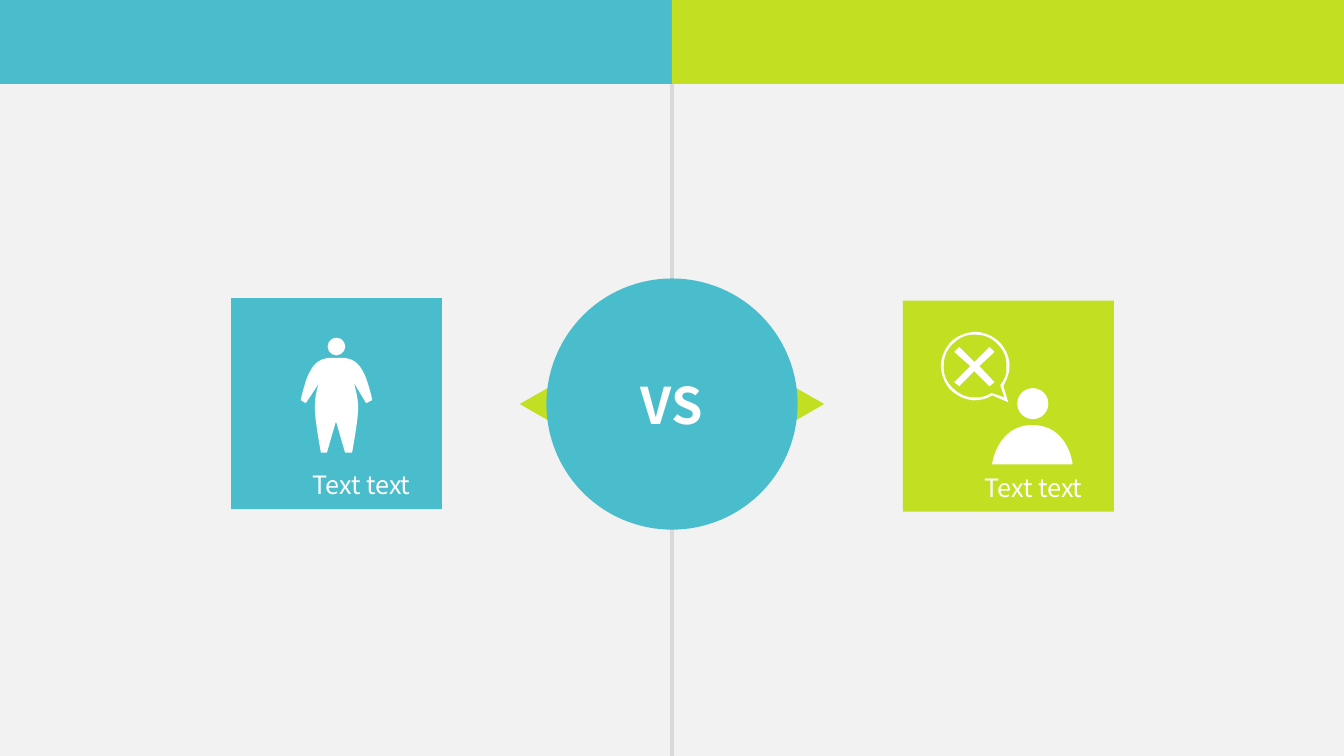
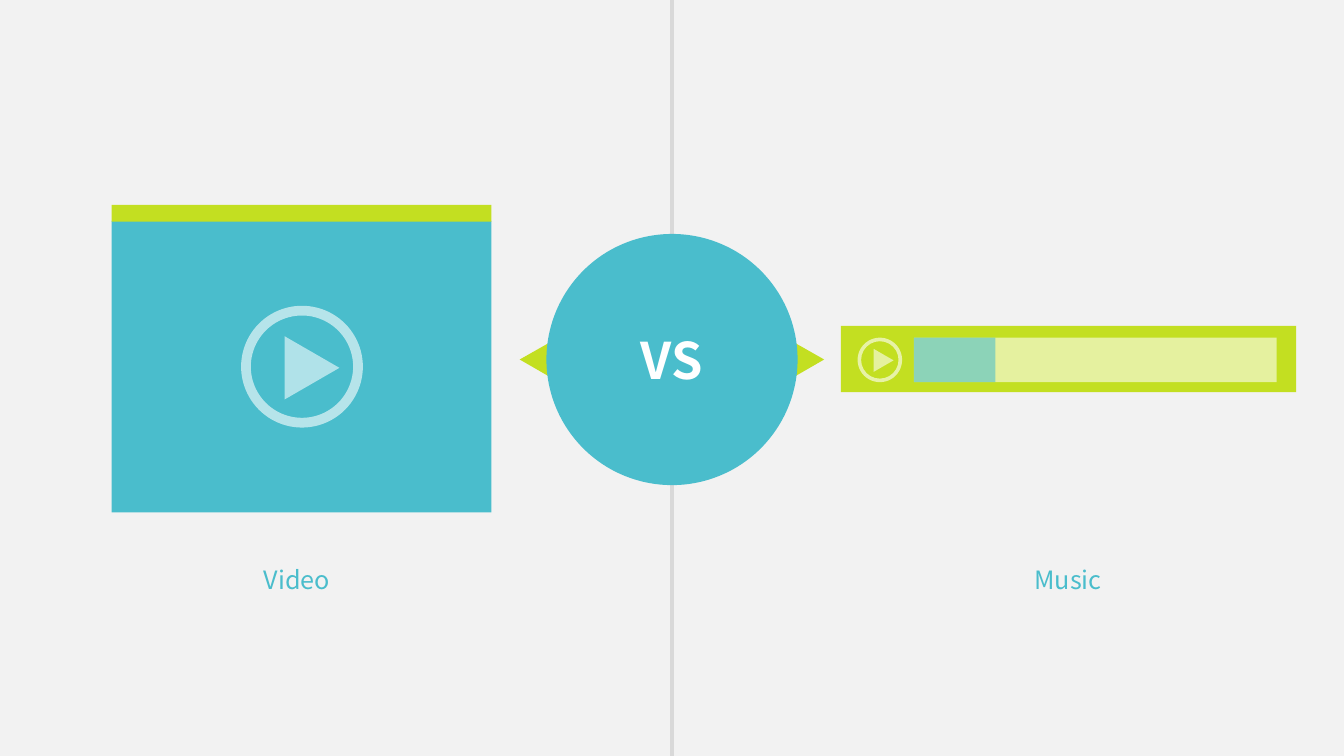
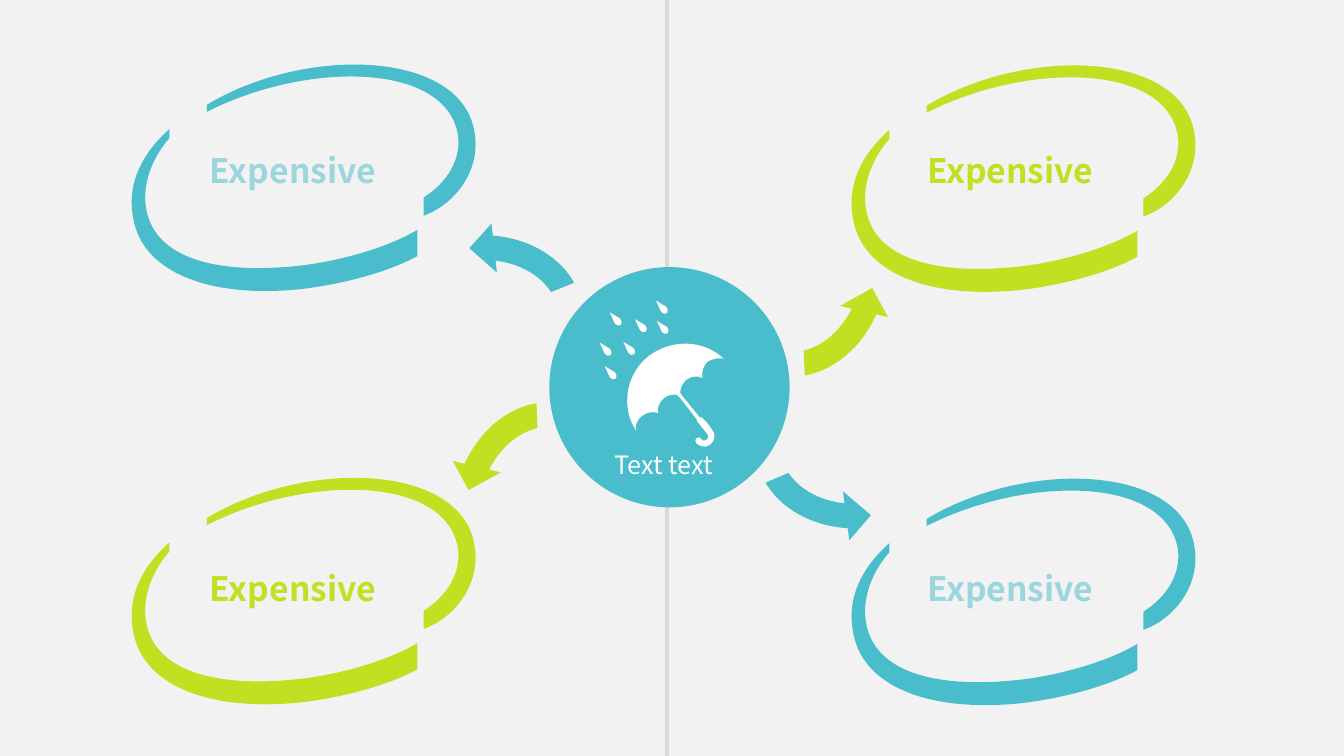
from dataclasses import dataclass
from typing import NamedTuple, Optional

from lxml.etree import SubElement
from pptx import Presentation
from pptx.dml.color import RGBColor
from pptx.enum.shapes import MSO_CONNECTOR, MSO_SHAPE
from pptx.enum.text import MSO_ANCHOR, MSO_AUTO_SIZE, PP_ALIGN
from pptx.oxml.ns import qn
from pptx.shapes.autoshape import Shape
from pptx.slide import Slide
from pptx.util import Inches, Pt

# The slide is a grid of 16 columns by 9 rows of square cells.
COLUMNS, ROWS = 16, 9
CELL = Inches(5 / 6)
MIDDLE = COLUMNS / 2

TEAL = RGBColor(0x4A, 0xBD, 0xCC)
PALE_TEAL = RGBColor(0x9B, 0xD6, 0xDE)
LIME = RGBColor(0xC3, 0xDF, 0x21)
WHITE = RGBColor(0xFF, 0xFF, 0xFF)
PAPER = RGBColor(0xF2, 0xF2, 0xF2)
RULE = RGBColor(0xD9, 0xD9, 0xD9)
FONT = "Noto Sans CJK SC"

CIRCULAR_ARROW = (0.125, 11.423, 204.577, 171.41, 0.125)

# An outline is a list of contours in inches: a start point, then
# lines (x, y) and cubic curves (x1, y1, x2, y2, x, y).
Contour = list[tuple[float, ...]]

BODY: list[Contour] = [[
    (0.71, 0.42), (0.71, 0.41, 0.67, 0.25, 0.64, 0.18), (0.6, 0.1, 0.56, 0, 0.4, 0),
    (0.31, 0), (0.15, 0, 0.11, 0.1, 0.07, 0.18), (0.04, 0.25, 0, 0.41, 0, 0.42),
    (0.05, 0.45), (0.05, 0.45, 0.14, 0.32, 0.18, 0.25),
    (0.16, 0.31, 0.14, 0.39, 0.14, 0.49), (0.14, 0.63, 0.2, 0.93, 0.2, 0.94),
    (0.26, 0.94), (0.35, 0.63), (0.44, 0.94), (0.51, 0.94),
    (0.51, 0.93, 0.57, 0.63, 0.57, 0.49), (0.57, 0.39, 0.54, 0.31, 0.53, 0.25),
    (0.57, 0.32, 0.65, 0.45, 0.65, 0.45),
]]
BUBBLE: list[Contour] = [
    [
        (0.67, 0.7), (0.62, 0.54), (0.64, 0.5, 0.66, 0.46, 0.67, 0.42),
        (0.68, 0.4, 0.68, 0.38, 0.68, 0.36), (0.69, 0.27, 0.65, 0.18, 0.59, 0.11),
        (0.53, 0.05, 0.45, 0.01, 0.36, 0), (0.27, 0, 0.18, 0.03, 0.11, 0.09),
        (0.05, 0.15, 0.01, 0.23, 0, 0.32), (0, 0.41, 0.03, 0.5, 0.09, 0.57),
        (0.15, 0.63, 0.23, 0.67, 0.32, 0.68), (0.39, 0.68, 0.45, 0.67, 0.51, 0.63),
    ],
    [
        (0.5, 0.61), (0.45, 0.64, 0.39, 0.66, 0.32, 0.65),
        (0.24, 0.65, 0.17, 0.61, 0.11, 0.55), (0.05, 0.49, 0.02, 0.41, 0.03, 0.32),
        (0.03, 0.24, 0.07, 0.16, 0.13, 0.11), (0.19, 0.05, 0.27, 0.02, 0.36, 0.03),
        (0.44, 0.03, 0.52, 0.07, 0.57, 0.13), (0.63, 0.19, 0.66, 0.27, 0.65, 0.36),
        (0.65, 0.38, 0.65, 0.39, 0.65, 0.41), (0.64, 0.45, 0.62, 0.49, 0.59, 0.53),
        (0.63, 0.65), (0.51, 0.61),
    ],
]
CROSS: list[Contour] = [[
    (0.35, 0), (0.2, 0.15), (0.05, 0), (0, 0.05), (0.16, 0.19), (0, 0.35),
    (0.05, 0.39), (0.2, 0.24), (0.35, 0.39), (0.4, 0.35), (0.25, 0.19), (0.4, 0.05),
]]
SHOULDERS: list[Contour] = [[
    (0.4, 0), (0.05, 0, 0, 0.39, 0, 0.39), (0.8, 0.39), (0.8, 0.39, 0.76, 0, 0.4, 0),
]]
RING: list[Contour] = [
    [
        (1.69, 2.19), (1.01, 2.26, 0.31, 2.16, 0.21, 1.63),
        (0.16, 1.37, 0.28, 1.1, 0.44, 0.92), (0.44, 0.83),
        (0.16, 1.08, 0, 1.39, 0.09, 1.76), (0.2, 2.24, 0.81, 2.51, 1.73, 2.42),
        (2.09, 2.38, 2.57, 2.27, 2.9, 2.09), (2.9, 1.83),
        (2.6, 2.01, 2.1, 2.15, 1.69, 2.19),
    ],
    [
        (3.46, 0.83), (3.3, 0.05, 1.79, 0, 0.81, 0.59), (0.81, 0.66),
        (1.79, 0.16, 3.17, 0.16, 3.3, 0.88), (3.34, 1.12, 3.2, 1.36, 2.96, 1.51),
        (2.96, 1.69), (3.25, 1.59, 3.55, 1.25, 3.46, 0.83),
    ],
]
UMBRELLA: list[Contour] = [[
    (0.86, 0.23), (0.91, 0.2, 0.97, 0.19, 1.02, 0.2), (0.82, 0.01, 0.5, 0, 0.27, 0.18),
    (0.05, 0.36, 0, 0.68, 0.15, 0.91), (0.14, 0.86, 0.16, 0.81, 0.21, 0.77),
    (0.26, 0.73, 0.32, 0.72, 0.37, 0.74), (0.36, 0.69, 0.38, 0.63, 0.43, 0.59),
    (0.47, 0.56, 0.52, 0.55, 0.56, 0.56), (0.59, 0.59), (0.76, 0.81), (0.75, 0.81),
    (0.86, 0.95), (0.87, 0.97), (0.86, 1), (0.84, 1.01), (0.81, 1.01), (0.78, 0.98),
    (0.75, 0.99), (0.74, 1.01), (0.75, 1.04), (0.78, 1.06), (0.81, 1.07),
    (0.84, 1.08, 0.85, 1.07, 0.87, 1.06), (0.89, 1.05),
    (0.92, 1.02, 0.93, 1, 0.93, 0.97), (0.93, 0.95, 0.92, 0.92, 0.91, 0.91),
    (0.86, 0.84), (0.8, 0.78), (0.79, 0.79), (0.61, 0.57), (0.59, 0.54),
    (0.59, 0.49, 0.61, 0.45, 0.65, 0.41), (0.7, 0.37, 0.76, 0.37, 0.81, 0.39),
    (0.8, 0.33, 0.82, 0.27, 0.86, 0.23),
]]
RAINDROP: list[Contour] = [[
    (0, 0), (0.05, 0.11), (0.07, 0.13, 0.09, 0.14, 0.11, 0.12),
    (0.12, 0.11, 0.12, 0.09, 0.1, 0.06),
]]


class Frame(NamedTuple):
    """A place on the slide, in grid cells."""

    left: float
    top: float
    width: float
    height: float

    def lengths(self) -> tuple[int, ...]:
        return tuple(round(value * CELL) for value in self)


@dataclass(frozen=True)
class TextStyle:
    size: int
    color: RGBColor
    bold: bool = False
    align: Optional[PP_ALIGN] = None


@dataclass(frozen=True)
class Ring:
    left: float
    top: float
    label_left: float
    label_top: float
    color: RGBColor
    label_color: RGBColor


@dataclass(frozen=True)
class CurvedArrow:
    left: float
    top: float
    rotation: float
    color: RGBColor


CARD_TEXT = TextStyle(18, WHITE)
RINGS = [
    Ring(10.06, 5.47, 10.92, 6.7, TEAL, PALE_TEAL),
    Ring(1.49, 0.54, 2.38, 1.73, TEAL, PALE_TEAL),
    Ring(10.06, 0.55, 10.92, 1.73, LIME, LIME),
    Ring(1.49, 5.46, 2.38, 6.7, LIME, LIME),
]
CURVED_ARROWS = [
    CurvedArrow(8.35, 1.82, 193.1, LIME),
    CurvedArrow(4.51, 2.42, 83.7, TEAL),
    CurvedArrow(5.26, 4.63, 13.5, LIME),
    CurvedArrow(9.08, 3.85, 262.6, TEAL),
]
RAINDROPS = [
    (7.14, 4.08), (7.2, 4.36), (7.42, 4.07), (7.26, 3.72),
    (7.56, 3.8), (7.82, 3.82), (7.81, 3.58),
]


def paint(shape: Shape, color: RGBColor, opacity: int = 100) -> None:
    """Give a plain fill, with opacity in percent, and no line or shadow."""
    shape.shadow.inherit = False
    shape.line.fill.background()
    shape.fill.solid()
    shape.fill.fore_color.rgb = color
    if opacity < 100:
        color_element = shape.element.spPr.find(qn("a:solidFill"))[0]
        SubElement(color_element, qn("a:alpha")).set("val", str(opacity * 1000))


def add_preset(page: Slide, kind: MSO_SHAPE, frame: Frame, color: RGBColor,
               opacity: int = 100, rotation: float = 0, flipped: bool = False) -> Shape:
    shape = page.shapes.add_shape(kind, *frame.lengths())
    paint(shape, color, opacity)
    shape.rotation = rotation
    if flipped:
        shape.element.spPr.find(qn("a:xfrm")).set("flipH", "1")
    return shape


def write(shape: Shape, text: str, style: TextStyle) -> None:
    paragraph = shape.text_frame.paragraphs[0]
    paragraph.text = text
    paragraph.alignment = style.align
    for span in paragraph.runs:
        span.font.name = FONT
        span.font.size = Pt(style.size)
        span.font.bold = style.bold
        span.font.color.rgb = style.color


def add_text(page: Slide, frame: Frame, text: str, style: TextStyle) -> None:
    box = page.shapes.add_textbox(*frame.lengths())
    box.text_frame.word_wrap = True
    box.text_frame.auto_size = MSO_AUTO_SIZE.SHAPE_TO_FIT_TEXT
    write(box, text, style)


def bend(shape: Shape, outline: list[Contour]) -> None:
    """Join the three straight steps that stand for each curve into one curve."""
    steps = iter(list(shape.element.iter(qn("a:lnTo"))))
    for contour in outline:
        for segment in contour[1:]:
            curve = next(steps)
            if len(segment) == 2:
                continue
            curve.tag = qn("a:cubicBezTo")
            for step in (next(steps), next(steps)):
                curve.append(step[0])
                step.getparent().remove(step)


def add_outline(page: Slide, left: float, top: float,
                outline: list[Contour], color: RGBColor) -> None:
    contours = [
        [
            (left * CELL + Inches(x), top * CELL + Inches(y))
            for segment in contour
            for x, y in zip(segment[::2], segment[1::2])
        ]
        for contour in outline
    ]
    builder = page.shapes.build_freeform(*contours[0][0])
    for index, points in enumerate(contours):
        if index:
            builder.move_to(*points[0])
        builder.add_line_segments(points[1:], close=True)
    shape = builder.convert_to_shape()
    bend(shape, outline)
    paint(shape, color)


def add_page(deck: Presentation, rule_column: float, rule_top: float = 0) -> Slide:
    """Add a blank page with the grey vertical rule that parts it."""
    page = deck.slides.add_slide(deck.slide_layouts[6])
    page.background.fill.solid()
    page.background.fill.fore_color.rgb = PAPER
    column = round(rule_column * CELL)
    rule = page.shapes.add_connector(
        MSO_CONNECTOR.STRAIGHT, column, round(rule_top * CELL), column, ROWS * CELL)
    rule.line.color.rgb = RULE
    rule.line.width = Pt(3)
    SubElement(rule.element.spPr, qn("a:effectLst"))
    return page


def add_versus_badge(page: Slide, center: float) -> None:
    """Draw the VS circle with a pointer to each side, centred on a row."""
    width, height, size = 1.01, 0.86, 2.99
    for side, rotation in ((1, 330), (-1, 30)):
        frame = Frame(MIDDLE + side * 1.16 - width / 2, center - 0.55, width, height)
        add_preset(page, MSO_SHAPE.ISOSCELES_TRIANGLE, frame, LIME,
                   rotation=rotation, flipped=side > 0)
    frame = Frame(MIDDLE - size / 2, center - size / 2, size, size)
    circle = add_preset(page, MSO_SHAPE.OVAL, frame, TEAL)
    circle.text_frame.vertical_anchor = MSO_ANCHOR.MIDDLE
    write(circle, "VS", TextStyle(36, WHITE, True, PP_ALIGN.CENTER))


def add_card(page: Slide, left: float, top: float, color: RGBColor) -> None:
    add_preset(page, MSO_SHAPE.RECTANGLE, Frame(left, top, 2.51, 2.51), color)
    add_text(page, Frame(left + 0.85, top + 1.98, 1.58, 0.48), "Text text", CARD_TEXT)


def add_play_button(page: Slide, left: float, top: float, size: float) -> None:
    ring = add_preset(page, MSO_SHAPE.DONUT, Frame(left, top, size, size), WHITE, 60)
    ring.adjustments[0] = 0.08
    frame = Frame(left + 0.21 * size, top + 0.22 * size, 0.52 * size, 0.45 * size)
    add_preset(page, MSO_SHAPE.ISOSCELES_TRIANGLE, frame, WHITE, 57, rotation=330)


def build_people(deck: Presentation) -> None:
    page = add_page(deck, MIDDLE, 1)
    for left, color in ((0, TEAL), (MIDDLE, LIME)):
        add_preset(page, MSO_SHAPE.RECTANGLE, Frame(left, 0, MIDDLE, 1), color)
    add_versus_badge(page, 4.81)

    add_card(page, 2.75, 3.55, TEAL)
    add_preset(page, MSO_SHAPE.OVAL, Frame(3.9, 4.02, 0.21, 0.21), WHITE)
    add_outline(page, 3.58, 4.26, BODY, WHITE)

    add_card(page, 10.75, 3.58, LIME)
    add_preset(page, MSO_SHAPE.OVAL, Frame(12.11, 4.62, 0.37, 0.37), WHITE)
    add_outline(page, 11.2, 3.95, BUBBLE, WHITE)
    add_outline(page, 11.36, 4.13, CROSS, WHITE)
    add_outline(page, 11.81, 5.06, SHOULDERS, WHITE)


def build_media(deck: Presentation) -> None:
    page = add_page(deck, MIDDLE)
    add_versus_badge(page, 4.28)

    add_preset(page, MSO_SHAPE.RECTANGLE, Frame(1.33, 2.63, 4.52, 3.47), TEAL)
    add_play_button(page, 2.87, 3.64, 1.45)
    add_preset(page, MSO_SHAPE.RECTANGLE, Frame(1.33, 2.44, 4.52, 0.2), LIME)

    add_preset(page, MSO_SHAPE.RECTANGLE, Frame(10.01, 3.88, 5.42, 0.79), LIME)
    add_play_button(page, 10.21, 4.02, 0.53)
    for width, color in ((4.32, WHITE), (0.97, TEAL)):
        add_preset(page, MSO_SHAPE.RECTANGLE, Frame(10.88, 4.02, width, 0.53), color, 57)

    for left, name in ((2.07, "Video"), (11.25, "Music")):
        add_text(page, Frame(left, 6.66, 2.93, 0.48), name,
                 TextStyle(18, TEAL, align=PP_ALIGN.CENTER))


def build_umbrella(deck: Presentation) -> None:
    page = add_page(deck, 7.94)
    for arrow in CURVED_ARROWS:
        shape = add_preset(page, MSO_SHAPE.CIRCULAR_ARROW,
                           Frame(arrow.left, arrow.top, 2.35, 2.82), arrow.color,
                           rotation=arrow.rotation, flipped=True)
        for index, value in enumerate(CIRCULAR_ARROW):
            shape.adjustments[index] = value
    for ring in RINGS:
        add_outline(page, ring.left, ring.top, RING, ring.color)
        add_text(page, Frame(ring.label_left, ring.label_top, 2.89, 0.6), "Expensive",
                 TextStyle(24, ring.label_color, True))

    add_preset(page, MSO_SHAPE.OVAL, Frame(6.54, 3.18, 2.86, 2.86), TEAL)
    add_text(page, Frame(7.2, 5.29, 1.8, 0.55), "Text text", CARD_TEXT)
    add_outline(page, 7.39, 4.03, UMBRELLA, WHITE)
    for left, top in RAINDROPS:
        add_outline(page, left, top, RAINDROP, WHITE)


def main() -> None:
    deck = Presentation()
    deck.slide_width = COLUMNS * CELL
    deck.slide_height = ROWS * CELL
    build_people(deck)
    build_media(deck)
    build_umbrella(deck)
    deck.save("out.pptx")


if __name__ == "__main__":
    main()
